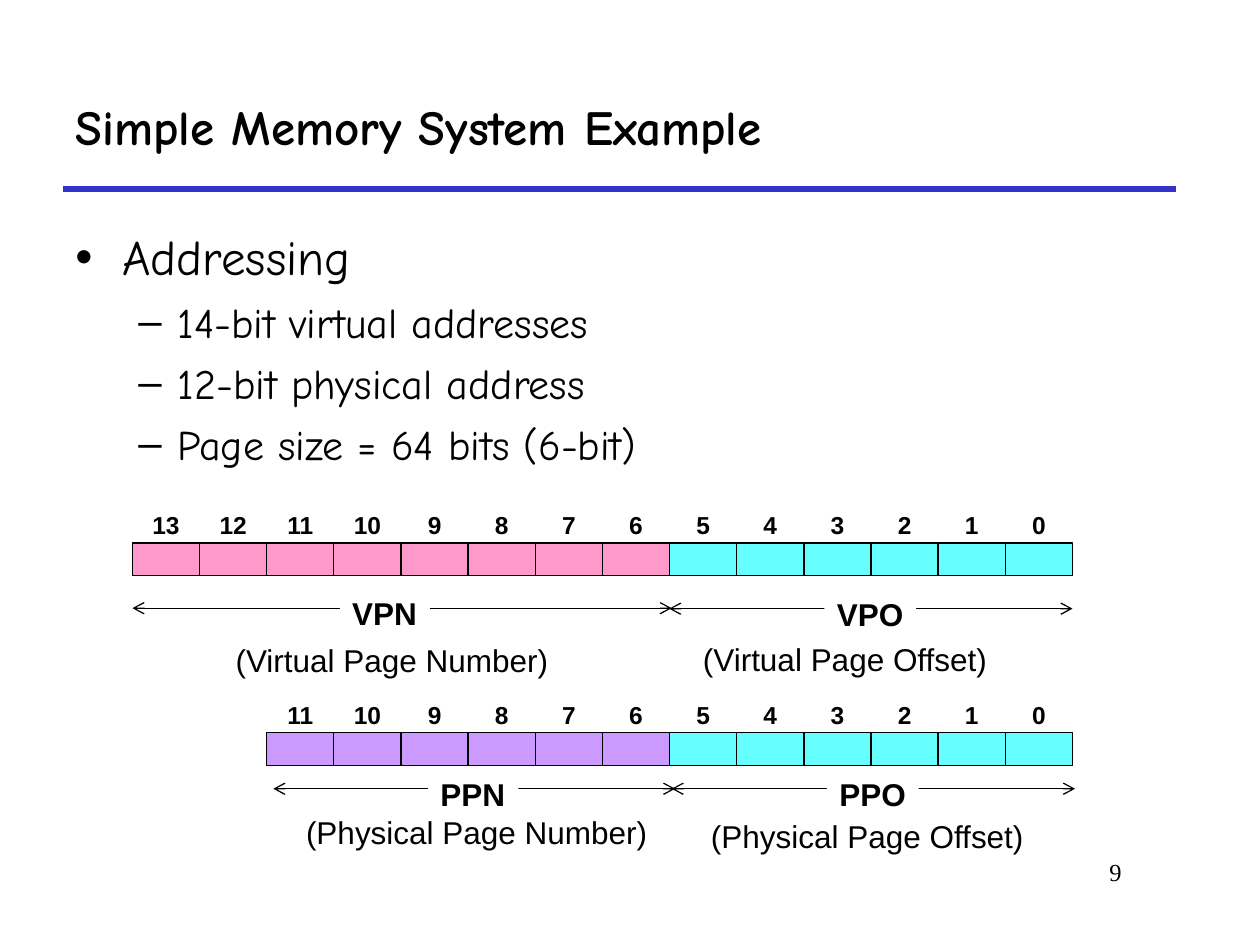
from dataclasses import dataclass

from lxml import etree
from pptx import Presentation
from pptx import util as u
from pptx.dml.color import RGBColor
from pptx.enum import shapes, text
from pptx.oxml import ns

LEFT, MID, RIGHT = text.PP_ALIGN.LEFT, text.PP_ALIGN.CENTER, text.PP_ALIGN.RIGHT


@dataclass(frozen=True)
class Theme:
    ink: str = "000000"
    paper: str = "FFFFFF"
    rule: str = "3333CC"
    pink: str = "FF99CC"
    violet: str = "CC99FF"
    cyan: str = "66FFFF"
    hand: str = "Comic Neue"
    sans: str = "Arial"
    serif: str = "Times New Roman"
    head: int = 28
    sub: int = 24
    label: int = 18
    small: int = 14
    thin: float = 0.75
    thick: float = 3


@dataclass(frozen=True)
class Word:
    """A row of address bits; page bits take the given fill."""
    bits: int
    top: float
    fill: str


@dataclass(frozen=True)
class Field:
    """An arrow over some bits, its short name and its full name."""
    name: str
    start: float
    end: float
    y: float
    tag: tuple
    full: str
    note: tuple
    align: int = LEFT


T = Theme()
OFFSET = 6                      # bits in the page offset
BITS = 14
GRID_L, GRID_R = 2.67, 21.62
PITCH = (GRID_R - GRID_L) / BITS
CELL_H = 0.66
LINE_H = 0.94

WORDS = [Word(14, 10.95, T.pink), Word(12, 14.77, T.violet)]
FIELDS = [
    Field("VPO", 13.49, 21.62, 12.27, (16.62, 11.96, 1.85),
          "(Virtual Page Offset)", (13.92, 12.86, 6.25)),
    Field("PPO", 13.54, 21.67, 15.9, (16.67, 15.59, 1.85),
          "(Physical Page Offset)", (14.07, 16.43, 6.83), MID),
    Field("PPN", 5.51, 13.61, 15.9, (8.63, 15.59, 1.82),
          "(Physical Page Number)", (5.92, 16.36, 7.39)),
    Field("VPN", 2.67, 13.54, 12.26, (6.85, 11.94, 1.82),
          "(Virtual Page Number)", (4.5, 12.88, 6.83)),
]
POINTS = [
    ("Addressing", 0),
    ("14-bit virtual addresses", 1),
    ("12-bit physical address", 1),
    ("Page size = 64 bits (6-bit)", 1),
]


def rgb(code: str) -> RGBColor:
    return RGBColor.from_string(code)


def write(para, words: str, *, size: float, font: str, bold: bool = False,
          align=LEFT, before: float = 0, space: float = 1.0) -> None:
    para.alignment = align
    para.space_before = u.Pt(before)
    para.line_spacing = space
    run = para.add_run()
    run.text = words
    run.font.size = u.Pt(size)
    run.font.name = font
    run.font.bold = bold
    run.font.color.rgb = rgb(T.ink)


def box(slide, x: float, y: float, w: float, h: float, wrap: bool = True,
        anchor=text.MSO_ANCHOR.TOP):
    item = slide.shapes.add_textbox(u.Cm(x), u.Cm(y), u.Cm(w), u.Cm(h))
    item.text_frame.word_wrap = wrap
    item.text_frame.vertical_anchor = anchor
    return item


def line(slide, start: float, end: float, y: float, color: str,
         width: float, arrows: bool = False) -> None:
    item = slide.shapes.add_connector(
        shapes.MSO_CONNECTOR.STRAIGHT, u.Cm(start), u.Cm(y), u.Cm(end), u.Cm(y))
    item.line.color.rgb = rgb(color)
    item.line.width = u.Pt(width)
    if arrows:
        stroke = item.line._get_or_add_ln()
        for tip in ("a:headEnd", "a:tailEnd"):
            etree.SubElement(stroke, ns.qn(tip), type="arrow")
    etree.SubElement(item._element.spPr, ns.qn("a:effectLst"))


def bullet(para, mark: str, left: float, hang: float) -> None:
    props = para._p.get_or_add_pPr()
    props.set("marL", str(u.Cm(left)))
    props.set("indent", str(-u.Cm(hang)))
    etree.SubElement(props, ns.qn("a:buFont"), typeface=T.sans)
    etree.SubElement(props, ns.qn("a:buChar"), char=mark)


def draw_word(slide, word: Word) -> None:
    for bit in reversed(range(word.bits)):
        x = GRID_R - (bit + 1) * PITCH
        cell = slide.shapes.add_shape(
            shapes.MSO_SHAPE.RECTANGLE,
            u.Cm(x), u.Cm(word.top), u.Cm(PITCH), u.Cm(CELL_H))
        cell.shadow.inherit = False
        cell.fill.solid()
        cell.fill.fore_color.rgb = rgb(T.cyan if bit < OFFSET else word.fill)
        cell.line.color.rgb = rgb(T.ink)
        cell.line.width = u.Pt(T.thin)
        label = box(slide, x, word.top - CELL_H, PITCH, CELL_H, False,
                    text.MSO_ANCHOR.MIDDLE)
        write(label.text_frame.paragraphs[0], str(bit), size=T.small,
              font=T.sans, bold=True, align=MID, before=5.2, space=0.9)


def draw_field(slide, field: Field) -> None:
    line(slide, field.start, field.end, field.y, T.ink, T.thin, arrows=True)
    tag = box(slide, *field.tag, LINE_H, wrap=False)
    tag.fill.solid()
    tag.fill.fore_color.rgb = rgb(T.paper)
    note = box(slide, *field.note, LINE_H, wrap=False)
    for item, words, bold, align in ((tag, field.name, True, LEFT),
                                     (note, field.full, False, field.align)):
        item.text_frame.auto_size = text.MSO_AUTO_SIZE.SHAPE_TO_FIT_TEXT
        write(item.text_frame.paragraphs[0], words, size=T.label, font=T.sans,
              bold=bold, align=align, before=6.8, space=0.9)


def main() -> None:
    deck = Presentation()
    deck.slide_width, deck.slide_height = u.Cm(25.4), u.Cm(19.05)
    slide = deck.slides.add_slide(deck.slide_layouts[5])

    # Title and rule
    line(slide, 1.27, 23.7, 3.81, T.rule, T.thick)
    title = slide.shapes.title
    title.left, title.top = u.Cm(1.27), u.Cm(1.27)
    title.width, title.height = u.Cm(22.43), u.Cm(2.54)
    title.text_frame.auto_size = text.MSO_AUTO_SIZE.NONE
    title.text_frame.vertical_anchor = text.MSO_ANCHOR.MIDDLE
    write(title.text_frame.paragraphs[0], "Simple Memory System Example",
          size=T.head, font=T.hand, bold=True)

    # Page number
    page = box(slide, 19.25, 17.15, 3.61, 1.27)
    write(page.text_frame.paragraphs[0], "9", size=T.small, font=T.serif,
          align=RIGHT)

    # Bullet list
    frame = box(slide, 1.27, 4.45, 23.06, 5.28).text_frame
    for spot, (words, level) in enumerate(POINTS):
        para = frame.add_paragraph() if spot else frame.paragraphs[0]
        para.level = level
        write(para, words, size=T.sub if level else T.head, font=T.hand,
              before=6 if level else 7)
        bullet(para, *(("–", 2.06, 0.79) if level else ("•", 0.95, 0.95)))

    # Address words and their fields
    for word in WORDS:
        draw_word(slide, word)
    for field in FIELDS:
        draw_field(slide, field)

    deck.save("out.pptx")


if __name__ == "__main__":
    main()
